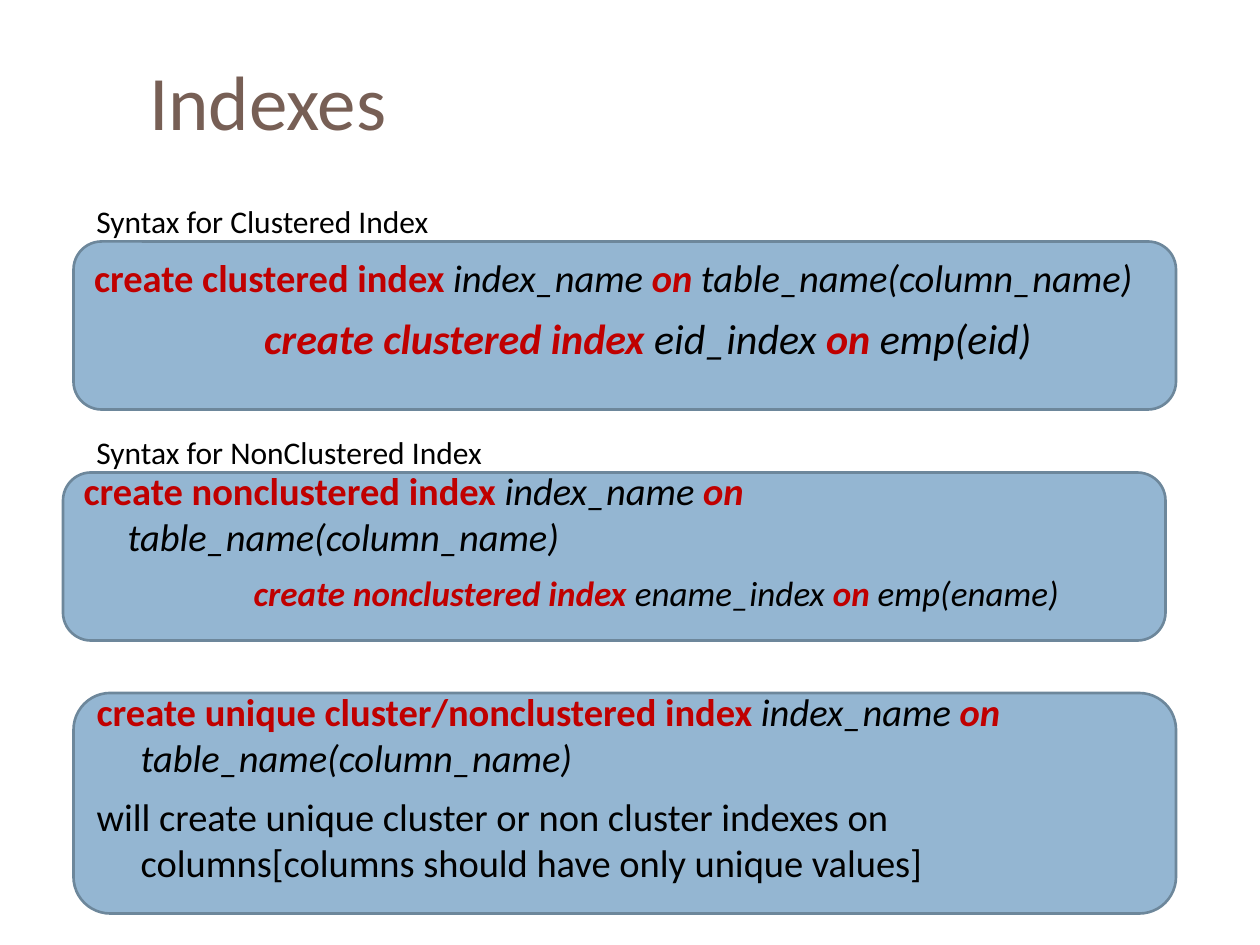
from dataclasses import dataclass

from pptx import Presentation
from pptx.dml.color import RGBColor
from pptx.enum import shapes, text
from pptx.util import Pt


@dataclass(frozen=True)
class Theme:
    font: str = "Calibri"
    title: str = "775F55"
    ink: str = "000000"
    keyword: str = "C00000"
    panel: str = "94B6D2"
    border: str = "6D879B"
    title_size: int = 44
    label_size: int = 18
    syntax_size: int = 22
    hanging: float = 25.2
    example_indent: float = 97.2
    paragraph_gap: int = 7


class SlideBuilder:
    def __init__(self, deck, theme):
        self.theme = theme
        self.page = deck.slides.add_slide(deck.slide_layouts[5])

    def add_span(self, para, words, size, color, bold=False, italic=False):
        span = para.add_run()
        span.text = words
        font = span.font
        font.name, font.size = self.theme.font, Pt(size)
        font.bold, font.italic = bold, italic
        font.color.rgb = RGBColor.from_string(color)

    def title(self, words, left, top, width, height):
        box = self.page.shapes.title
        box.left, box.top, box.width, box.height = map(Pt, (left, top, width, height))
        frame = box.text_frame
        frame.auto_size = text.MSO_AUTO_SIZE.NONE
        frame.vertical_anchor = text.MSO_ANCHOR.MIDDLE
        para = frame.paragraphs[0]
        para.alignment = text.PP_ALIGN.LEFT
        self.add_span(para, words, self.theme.title_size, self.theme.title)

    def label(self, words, left, top, width=294, height=29):
        box = self.page.shapes.add_textbox(*map(Pt, (left, top, width, height)))
        box.text_frame.word_wrap = True
        self.add_span(box.text_frame.paragraphs[0], words,
                      self.theme.label_size, self.theme.ink)

    def panel(self, lines, left, top, height, width=630):
        """Draw a rounded panel; each line is (spans, size, margin, first-line indent)."""
        box = self.page.shapes.add_shape(
            shapes.MSO_SHAPE.ROUNDED_RECTANGLE, *map(Pt, (left, top, width, height)))
        box.shadow.inherit = False
        box.fill.solid()
        box.fill.fore_color.rgb = RGBColor.from_string(self.theme.panel)
        box.line.color.rgb = RGBColor.from_string(self.theme.border)
        box.line.width = Pt(1.5)
        frame = box.text_frame
        frame.word_wrap = True
        frame.vertical_anchor = text.MSO_ANCHOR.MIDDLE
        frame.margin_top, frame.margin_bottom = Pt(0), Pt(19)
        for index, (spans, size, margin, indent) in enumerate(lines):
            para = frame.add_paragraph() if index else frame.paragraphs[0]
            para.alignment = text.PP_ALIGN.LEFT
            if index:
                para.space_before = Pt(self.theme.paragraph_gap)
            properties = para._p.get_or_add_pPr()
            properties.set("marL", str(Pt(margin)))
            properties.set("indent", str(Pt(indent)))
            for words, color, bold, italic in spans:
                self.add_span(para, words, size, color, bold, italic)

    def statement(self, command, index, target, italic_command=False):
        """Return the spans of one create-index statement."""
        keyword, ink = self.theme.keyword, self.theme.ink
        return [(command + " ", keyword, True, italic_command),
                (index + " ", ink, False, True),
                ("on ", keyword, True, True),
                (target, ink, False, True)]

    def syntax_line(self, command):
        spans = self.statement(command, "index_name", "table_name(column_name)")
        return self.hanging_line(spans)

    def example_line(self, command, index, target, size):
        spans = self.statement(command, index, target, italic_command=True)
        return spans, size, self.theme.example_indent, 0

    def hanging_line(self, spans):
        return spans, self.theme.syntax_size, self.theme.hanging, -self.theme.hanging


def main():
    deck = Presentation()
    deck.slide_width, deck.slide_height = Pt(720), Pt(540)
    theme = Theme()
    slide = SlideBuilder(deck, theme)
    slide.title("Indexes", 78, 18, 642, 78)

    kinds = [
        ("Clustered", "eid_index", "emp(eid)", 24, 42, 138),
        ("NonClustered", "ename_index", "emp(ename)", 20, 36, 270),
    ]
    for kind, index, target, size, left, top in kinds:
        command = f"create {kind.lower()} index"
        slide.panel([slide.syntax_line(command),
                     slide.example_line(command, index, target, size)],
                    left, top, 96)
        slide.label(f"Syntax for {kind} Index", 48, top - 26)

    note = ("will create unique cluster or non cluster indexes on "
            "columns[columns should have only unique values]")
    slide.panel([slide.syntax_line("create unique cluster/nonclustered index"),
                 slide.hanging_line([(note, theme.ink, False, False)])],
                42, 396, 126)
    deck.save("out.pptx")


if __name__ == "__main__":
    main()
